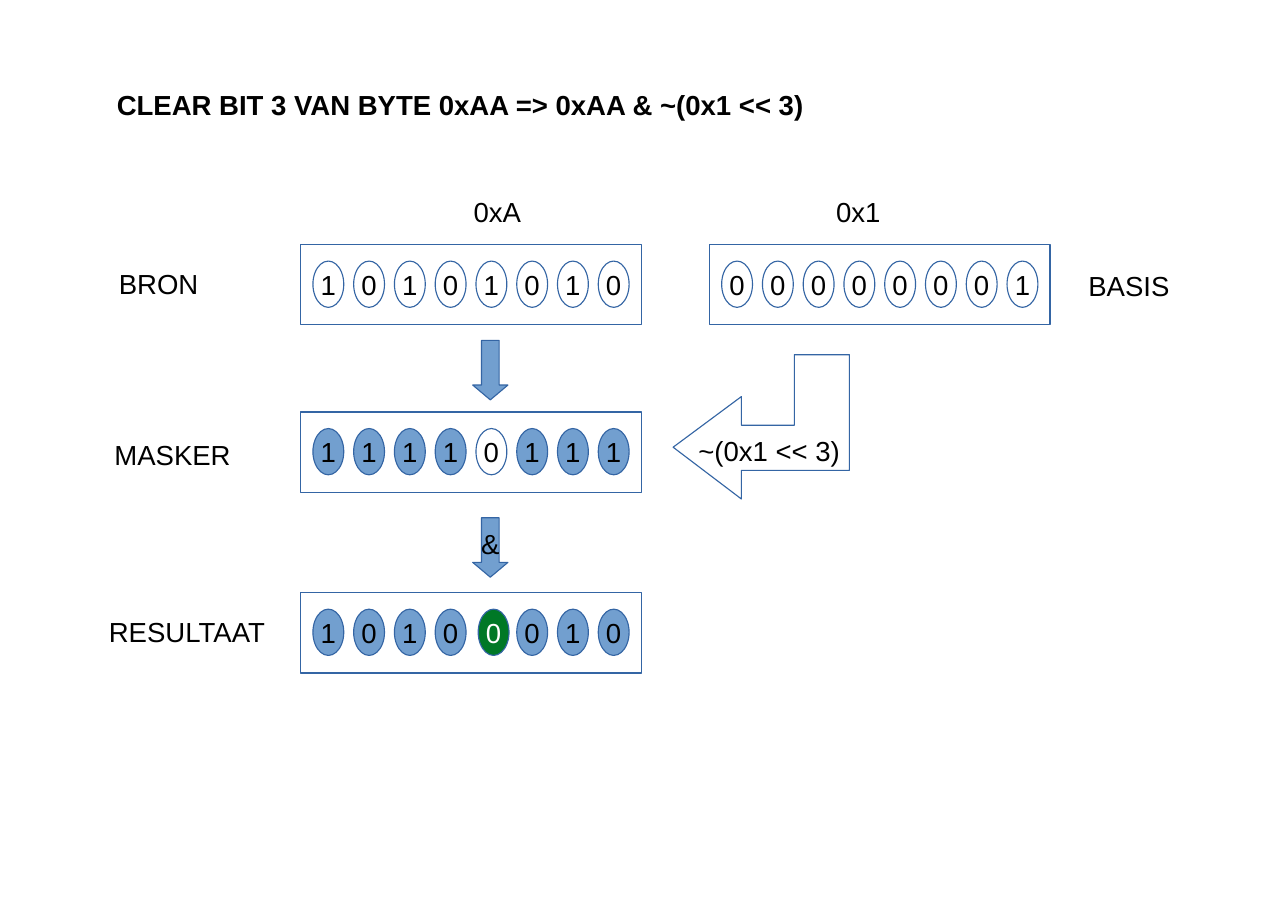
from dataclasses import dataclass

from pptx import Presentation
from pptx.dml.color import RGBColor
from pptx.enum.shapes import MSO_SHAPE
from pptx.enum.text import MSO_ANCHOR, MSO_AUTO_SIZE, PP_ALIGN
from pptx.shapes.autoshape import Shape
from pptx.slide import Slide
from pptx.text.text import TextFrame
from pptx.util import Emu, Pt

PX = 9144  # 100 px to the inch

BLACK = RGBColor(0x00, 0x00, 0x00)
WHITE = RGBColor(0xFF, 0xFF, 0xFF)
BLUE = RGBColor(0x72, 0x9F, 0xCF)
EDGE = RGBColor(0x34, 0x65, 0xA4)
GREEN = RGBColor(0x00, 0x78, 0x26)

BOX_W, BOX_H = 309, 73
BIT_W, BIT_H, PITCH = 28, 42, 37
PAD_X, PAD_Y = 11, 15


@dataclass(frozen=True)
class Byte:
    """A box of eight bits; fills has one letter per bit, a key of FILLS."""
    left: int
    top: int
    bits: str
    fills: str


@dataclass(frozen=True)
class Label:
    text: str
    left: int
    top: int
    width: int
    height: int


@dataclass(frozen=True)
class Arrow:
    top: int
    text: str = ""


FILLS = {"-": None, "b": BLUE, "g": GREEN}

BYTES = [
    Byte(273, 222, "10101010", "--------"),
    Byte(273, 374, "11110111", "bbbb-bbb"),
    Byte(273, 538, "10100010", "bbbbgbbb"),
    Byte(644, 222, "00000001", "--------"),
]

ARROWS = [Arrow(309), Arrow(470, "&")]

BENT = [(673, 360), (673, 386), (721, 386), (721, 322), (771, 322),
        (771, 427), (673, 427), (673, 453), (611, 406)]

LABELS = [
    Label("BRON", 98, 237, 98, 52),
    Label("MASKER", 94, 393, 134, 71),
    Label("RESULTAAT", 89, 553, 177, 71),
    Label("0xA", 420, 172, 69, 48),
    Label("0x1", 749, 172, 80, 43),
    Label("BASIS", 978, 239, 117, 71),
    Label("~(0x1 << 3)", 624, 389, 161, 66),
]

TITLE = Label("CLEAR BIT 3 VAN BYTE 0xAA => 0xAA & ~(0x1 << 3)", 96, 75, 680, 66)


def px(*sizes: int) -> list[Emu]:
    return [Emu(size * PX) for size in sizes]


def write(frame: TextFrame, text: str, align: PP_ALIGN,
          color: RGBColor = BLACK, bold: bool = False) -> None:
    frame.text = text
    line = frame.paragraphs[0]
    line.alignment = align
    line.font.name = "Arial"
    line.font.size = Pt(18)
    line.font.bold = bold
    line.font.color.rgb = color


def paint(shape: Shape, fill: RGBColor | None) -> None:
    """Give the shape a hairline edge and a fill, or no fill for None."""
    shape.shadow.inherit = False
    shape.line.color.rgb = EDGE
    shape.line.width = Pt(0)
    if fill is None:
        shape.fill.background()
    else:
        shape.fill.solid()
        shape.fill.fore_color.rgb = fill


def center(shape: Shape, text: str, color: RGBColor = BLACK) -> None:
    frame = shape.text_frame
    frame.word_wrap = False
    frame.vertical_anchor = MSO_ANCHOR.MIDDLE
    write(frame, text, PP_ALIGN.CENTER, color)


def add_byte(slide: Slide, byte: Byte) -> None:
    box = slide.shapes.add_shape(
        MSO_SHAPE.RECTANGLE, *px(byte.left, byte.top, BOX_W, BOX_H))
    paint(box, None)
    for i, (bit, key) in enumerate(zip(byte.bits, byte.fills)):
        shift = 2 if key == "g" else 0
        left = byte.left + PAD_X + i * PITCH + shift
        oval = slide.shapes.add_shape(
            MSO_SHAPE.OVAL, *px(left, byte.top + PAD_Y, BIT_W, BIT_H))
        paint(oval, FILLS[key])
        center(oval, bit, WHITE if key == "g" else BLACK)


def add_arrow(slide: Slide, arrow: Arrow) -> None:
    shape = slide.shapes.add_shape(
        MSO_SHAPE.DOWN_ARROW, *px(429, arrow.top, 32, 54))
    shape.adjustments[0] = 0.5
    shape.adjustments[1] = 0.42
    paint(shape, BLUE)
    if arrow.text:
        center(shape, arrow.text)


def add_bent(slide: Slide) -> None:
    pen = slide.shapes.build_freeform(*BENT[0], scale=PX)
    pen.add_line_segments(BENT[1:], close=True)
    paint(pen.convert_to_shape(), None)


def add_label(slide: Slide, label: Label) -> None:
    box = slide.shapes.add_textbox(
        *px(label.left, label.top, label.width, label.height))
    box.text_frame.word_wrap = True
    write(box.text_frame, label.text, PP_ALIGN.LEFT)


def set_title(slide: Slide, label: Label) -> None:
    title = slide.shapes.title
    title.left, title.top, title.width, title.height = px(
        label.left, label.top, label.width, label.height)
    frame = title.text_frame
    frame.word_wrap = True
    frame.auto_size = MSO_AUTO_SIZE.NONE
    frame.vertical_anchor = MSO_ANCHOR.TOP
    write(frame, label.text, PP_ALIGN.LEFT, bold=True)


def main() -> None:
    deck = Presentation()
    deck.slide_width, deck.slide_height = px(1169, 827)
    slide = deck.slides.add_slide(deck.slide_layouts.get_by_name("Title Only"))
    set_title(slide, TITLE)
    for byte in BYTES:
        add_byte(slide, byte)
    for arrow in ARROWS:
        add_arrow(slide, arrow)
    add_bent(slide)
    for label in LABELS:
        add_label(slide, label)
    deck.save("out.pptx")


if __name__ == "__main__":
    main()
